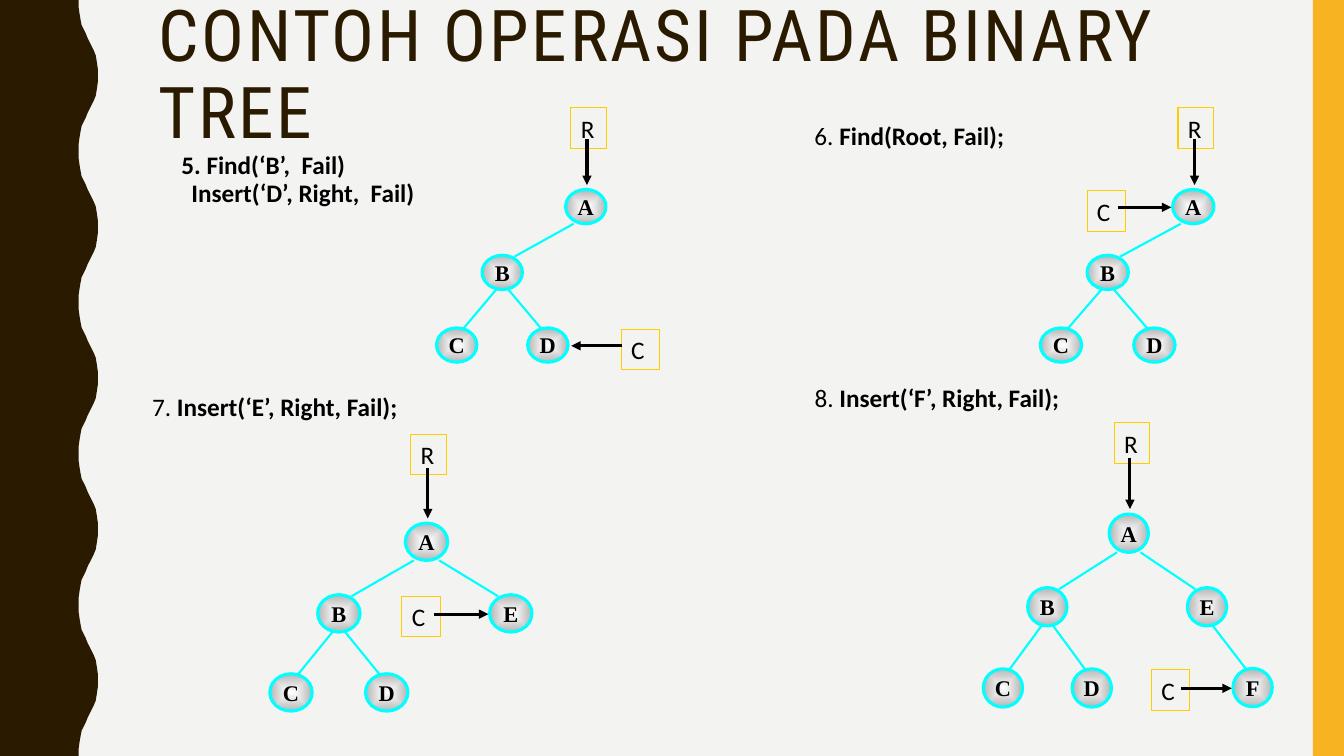
from dataclasses import dataclass

from lxml import etree
from pptx import Presentation, util as u
from pptx.dml.color import RGBColor
from pptx.enum import shapes as sh, text as tx
from pptx.oxml import ns, parse_xml


@dataclass(frozen=True)
class Theme:
    back: str = "F3F3F2"
    brown: str = "2A1A00"
    amber: str = "F8B323"
    gold: str = "FFCC00"
    cyan: str = "00FFFF"
    black: str = "000000"
    light: str = "FFFFFF"
    dark: str = "B6B6B6"
    head: str = "Roboto Condensed"
    body: str = "Calibri"
    serif: str = "Times New Roman"
    title: int = 51
    label: int = 18
    node: int = 16
    thick: float = 2.25
    edge: float = 1.5
    thin: float = 0.75


T = Theme()
I = u.Inches
RADIAL = (
    f'<a:path {ns.nsdecls("a")} path="shape">'
    '<a:fillToRect l="50000" t="50000" r="50000" b="50000"/></a:path>'
)
SPOTS = {
    "A": (0, 0),
    "B": (-2.07, 1.92),
    "C": (-3.2, 4.04),
    "D": (-0.94, 4.04),
    "E": (1.99, 1.92),
    "F": (3.15, 4.03),
}
ROOTS = {"B": "A", "C": "B", "D": "B", "E": "A", "F": "E"}
WAVE = [
    (0.78, 0), (0.78, 0.07), (0.79, 0.14), (0.8, 0.2), (0.81, 0.25),
    (0.83, 0.29), (0.85, 0.33), (0.87, 0.38), (0.89, 0.42), (0.91, 0.46),
    (0.93, 0.5), (0.95, 0.55), (0.96, 0.61), (0.97, 0.68), (0.97, 0.75),
]


def color(code):
    return RGBColor.from_string(code)


def paint(shape, fill=None, line=None, width=T.thin):
    shape.shadow.inherit = False
    if fill:
        shape.fill.solid()
        shape.fill.fore_color.rgb = color(fill)
    else:
        shape.fill.background()
    if line:
        shape.line.color.rgb = color(line)
        shape.line.width = u.Pt(width)
    else:
        shape.line.fill.background()


def write(shape, words, size=T.label, face=T.body, ink=T.black, bold=False,
          lead="", align=tx.PP_ALIGN.LEFT, anchor=tx.MSO_ANCHOR.TOP,
          wrap=False, grow=True, inset=None, space=None, track=None):
    frame = shape.text_frame
    frame.word_wrap = wrap
    frame.auto_size = (tx.MSO_AUTO_SIZE.SHAPE_TO_FIT_TEXT if grow
                       else tx.MSO_AUTO_SIZE.NONE)
    frame.vertical_anchor = anchor
    if inset is not None:
        frame.margin_left = frame.margin_right = I(inset)
        frame.margin_top = frame.margin_bottom = 0
    para = frame.paragraphs[0]
    para.alignment = align
    if space:
        para.line_spacing = space
    for part, heavy in ((lead, False), (words, bold)):
        if part:
            run = para.add_run()
            run.text = part
            run.font.size = u.Pt(size)
            run.font.name = face
            run.font.bold = heavy
            run.font.color.rgb = color(ink)
            if track:
                run.font._element.set("spc", str(track * 100))


def link(group, start, end, ink, width, arrow=False):
    line = group.shapes.add_connector(
        sh.MSO_CONNECTOR.STRAIGHT, *map(I, (*start, *end)))
    line.line.color.rgb = color(ink)
    line.line.width = u.Pt(width)
    if arrow:
        tail = etree.SubElement(line.line._get_or_add_ln(), ns.qn("a:tailEnd"))
        tail.set("type", "triangle")
    etree.SubElement(line._element.spPr, ns.qn("a:effectLst"))


def node(group, name, box):
    oval = group.shapes.add_shape(sh.MSO_SHAPE.OVAL, *map(I, box))
    paint(oval, line=T.cyan, width=T.thick)
    oval.fill.gradient()
    for stop, code, place in zip(oval.fill.gradient_stops,
                                 (T.light, T.dark), (0, 1)):
        stop.color.rgb = color(code)
        stop.position = place
    old = oval._element.spPr.find(".//" + ns.qn("a:lin"))
    old.getparent().replace(old, parse_xml(RADIAL))
    write(oval, name, size=T.node, face=T.serif, bold=True, inset=0,
          align=tx.PP_ALIGN.CENTER, anchor=tx.MSO_ANCHOR.MIDDLE, grow=False)


def tag(group, name, spot, width):
    box = group.shapes.add_shape(
        sh.MSO_SHAPE.RECTANGLE, *map(I, (*spot, width, 0.4)))
    paint(box, line=T.gold)
    write(box, name)


def tree(slide, box, names, focus, right=False):
    left, top, wide, high = box
    group = slide.shapes.add_group_shape()

    def at(name, across, down):
        col, row = SPOTS[name]
        return left + (col + across) * wide, top + (row + down) * high

    for name in names:
        node(group, name, (*at(name, 0, 0), wide, high))
        if name in ROOTS:
            root = ROOTS[name]
            out = 0.2 if root == "A" else 0.35
            if SPOTS[name][0] > SPOTS[root][0]:
                out = 1 - out
            link(group, at(root, out, 1), at(name, 1 - out, 0.04),
                 T.cyan, T.edge)
    tag(group, "R", at("A", 0.13, -2.38), 0.35)
    link(group, at("A", 0.53, -1.47), at("A", 0.53, -0.13),
         T.black, T.thick, True)
    side, start, end = (2.32, 2.35, 1.08) if right else (-2.07, -1.31, -0.03)
    tag(group, "C", at(focus, side, 0.04), 0.38)
    link(group, at(focus, start, 0.52), at(focus, end, 0.52),
         T.black, T.thick, True)


def label(slide, box, words, **fmt):
    write(slide.shapes.add_textbox(*map(I, box)), words, **fmt)


def frame(slide, wide, high):
    slide.background.fill.solid()
    slide.background.fill.fore_color.rgb = color(T.back)
    cycle = WAVE + [(x, 1.5 - y) for x, y in WAVE[-2::-1]]
    curve = [(x, y + 1.5 * turn) for turn in range(5) for x, y in cycle]
    form = slide.shapes.build_freeform(0, 0)
    form.add_line_segments([(I(x), I(y)) for x, y in curve + [(0, high)]])
    paint(form.convert_to_shape(), T.brown)
    band = slide.shapes.add_shape(
        sh.MSO_SHAPE.RECTANGLE, *map(I, (wide - 0.31, 0, 0.31, high)))
    paint(band, T.amber)


def main():
    deck = Presentation()
    wide, high = 13.33, 7.5
    deck.slide_width, deck.slide_height = I(wide), I(high)
    slide = deck.slides.add_slide(deck.slide_layouts[6])
    frame(slide, wide, high)
    tree(slide, (5.61, 1.88, 0.4, 0.34), "ABCD", "D", right=True)
    tree(slide, (11.63, 1.88, 0.41, 0.34), "ABCD", "A")
    label(slide, (1.47, 0, 11.13, 0.89), "CONTOH OPERASI PADA BINARY TREE",
          size=T.title, face=T.head, ink=T.brown, wrap=True, grow=False,
          inset=0.1, space=0.9, track=2)
    label(slide, (1.8, 1.71, 2.77, 0.4), "Insert(‘D’, Right,  Fail)", bold=True)
    label(slide, (7.98, 1.14, 3.8, 0.71), "Find(Root, Fail);",
          lead="6. ", bold=True, wrap=True)
    tree(slide, (4.02, 5.19, 0.42, 0.37), "ABCDE", "E")
    tree(slide, (11, 5.1, 0.39, 0.38), "ABCDEF", "F")
    label(slide, (1.41, 3.83, 3, 0.4), "Insert(‘E’, Right, Fail);",
          lead="7. ", bold=True)
    label(slide, (7.98, 3.74, 2.95, 0.4), "Insert(‘F’, Right, Fail);",
          lead="8. ", bold=True)
    label(slide, (1.7, 1.43, 2.08, 0.4), "5. Find(‘B’,  Fail)", bold=True)
    deck.save("out.pptx")


if __name__ == "__main__":
    main()
